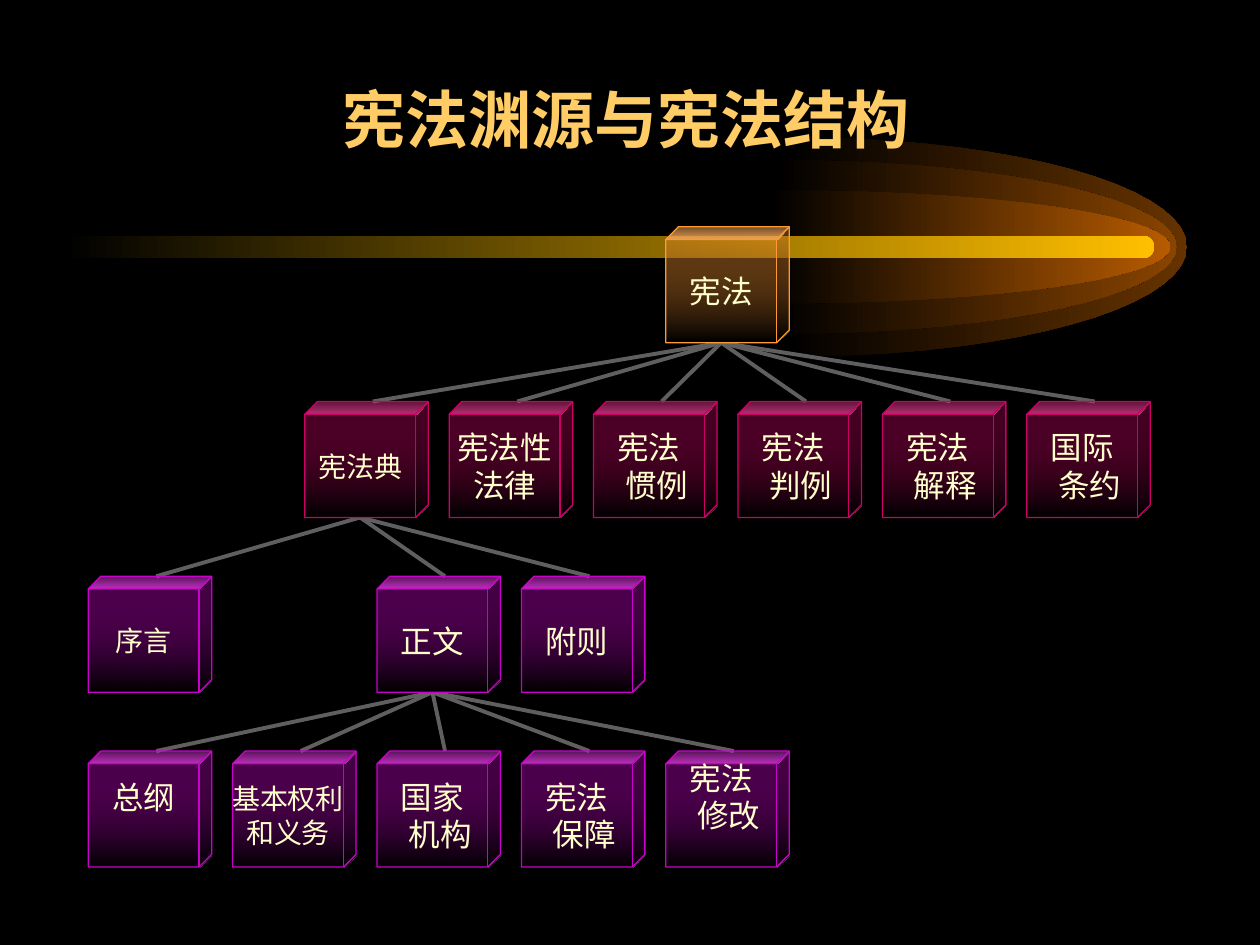
import math
from dataclasses import dataclass

from lxml import etree
from pptx import Presentation
from pptx.dml.color import RGBColor
from pptx.enum.shapes import MSO_CONNECTOR, MSO_SHAPE
from pptx.enum.text import MSO_ANCHOR, MSO_AUTO_SIZE, PP_ALIGN
from pptx.oxml.ns import qn
from pptx.util import Inches, Pt

STRAIGHT = MSO_CONNECTOR.STRAIGHT
CUBE = MSO_SHAPE.CUBE
ROUNDED = MSO_SHAPE.ROUNDED_RECTANGLE
CENTER = PP_ALIGN.CENTER
MIDDLE = MSO_ANCHOR.MIDDLE
BOTTOM = MSO_ANCHOR.BOTTOM
NO_AUTOFIT = MSO_AUTO_SIZE.NONE

BLACK = RGBColor(0x00, 0x00, 0x00)
GOLD = RGBColor(0xFF, 0xCC, 0x66)
COMET = RGBColor(0xFF, 0xBF, 0x00)
CREAM = RGBColor(0xFF, 0xFF, 0xCC)
GRAY = RGBColor(0x5F, 0x5F, 0x5F)
ORANGE = RGBColor(0xFF, 0x99, 0x33)
CRIMSON = RGBColor(0xCC, 0x00, 0x66)
PURPLE = RGBColor(0xCC, 0x00, 0xCC)

LEFT, TOP = 0.7, 1.8
COLUMN_STEP, ROW_STEP = 1.146, 1.387
CUBE_WIDTH, CUBE_HEIGHT, DEPTH = 0.98, 0.92, 0.1
SECOND_LINE_INDENT = 0.12
LINE_HEIGHT = 0.3
COMET_AXIS = 1.96


@dataclass(frozen=True)
class Halo:
    center: float
    radius: float
    color: RGBColor


@dataclass(frozen=True)
class Node:
    column: float
    row: int
    lines: tuple[str, ...]
    color: RGBColor
    size: int = 18
    indented: bool = True
    raised: bool = False
    children: tuple["Node", ...] = ()

    @property
    def left(self) -> float:
        return LEFT + self.column * COLUMN_STEP

    @property
    def top(self) -> float:
        return TOP + self.row * ROW_STEP


HALOS = (
    Halo(6.29, 0.87, RGBColor(0x66, 0x33, 0x00)),
    Halo(6.21, 0.69, RGBColor(0x89, 0x44, 0x00)),
    Halo(6.16, 0.45, RGBColor(0xB7, 0x5B, 0x00)),
)

MAIN_TEXT = Node(2, 2, ("正文",), PURPLE, children=(
    Node(0, 3, ("总纲",), PURPLE, raised=True),
    Node(1, 3, ("基本权利", "和义务"), PURPLE, size=16, indented=False),
    Node(2, 3, ("国家", "机构"), PURPLE),
    Node(3, 3, ("宪法", "保障"), PURPLE),
    Node(4, 3, ("宪法", "修改"), PURPLE, raised=True),
))
CODE = Node(1.5, 1, ("宪法典",), CRIMSON, size=16, children=(
    Node(0, 2, ("序言",), PURPLE, size=16),
    MAIN_TEXT,
    Node(3, 2, ("附则",), PURPLE),
))
CONSTITUTION = Node(4, 0, ("宪法",), ORANGE, children=(
    CODE,
    Node(2.5, 1, ("宪法性", "法律"), CRIMSON, indented=False),
    Node(3.5, 1, ("宪法", "惯例"), CRIMSON),
    Node(4.5, 1, ("宪法", "判例"), CRIMSON),
    Node(5.5, 1, ("宪法", "解释"), CRIMSON),
    Node(6.5, 1, ("国际", "条约"), CRIMSON),
))


def fill_gradient(shape, start: RGBColor, end: RGBColor, angle: int) -> None:
    shape.shadow.inherit = False
    shape.fill.gradient()
    shape.fill.gradient_angle = angle
    for stop, color in zip(shape.fill.gradient_stops, (start, end)):
        stop.color.rgb = color


def draw_halo(slide, halo: Halo) -> None:
    angles = [math.radians(degree) for degree in range(-90, 91, 5)]
    points = [
        (Inches(halo.center + 3.13 * math.cos(angle)),
         Inches(COMET_AXIS + halo.radius * math.sin(angle)))
        for angle in angles
    ]
    points.append((Inches(halo.center - 0.05), points[-1][1]))
    points.append((Inches(halo.center), Inches(COMET_AXIS)))
    builder = slide.shapes.build_freeform(*points[0])
    builder.add_line_segments(points[1:], close=True)
    glow = builder.convert_to_shape()
    fill_gradient(glow, BLACK, halo.color, 0)
    glow.line.fill.background()


def draw_comet(slide) -> None:
    for halo in HALOS:
        draw_halo(slide, halo)
    tail = slide.shapes.add_shape(
        ROUNDED, Inches(0.5), Inches(COMET_AXIS - 0.09), Inches(8.66), Inches(0.18))
    tail.adjustments[0] = 0.5
    fill_gradient(tail, BLACK, COMET, 0)
    tail.line.fill.background()


def draw_title(slide) -> None:
    title = slide.shapes.title
    title.left, title.top = Inches(0.77), Inches(0.04)
    title.width, title.height = Inches(8.39), Inches(1.25)
    frame = title.text_frame
    frame.auto_size = NO_AUTOFIT
    frame.vertical_anchor = BOTTOM
    paragraph = frame.paragraphs[0]
    paragraph.alignment = CENTER
    run = paragraph.add_run()
    run.text = "宪法渊源与宪法结构"
    run.font.name = "Times New Roman"
    run.font.size = Pt(36)
    run.font.bold = True
    run.font.color.rgb = GOLD
    slide.shapes.element.append(title.element)


def draw_branches(slide, parent: Node) -> None:
    for child in parent.children:
        branch = slide.shapes.add_connector(
            STRAIGHT,
            Inches(child.left + (CUBE_WIDTH + DEPTH) / 2), Inches(child.top),
            Inches(parent.left + (CUBE_WIDTH - DEPTH) / 2),
            Inches(parent.top + CUBE_HEIGHT))
        branch.line.color.rgb = GRAY
        branch.line.width = Pt(2.25)
        etree.SubElement(branch.element.spPr, qn("a:effectLst"))
        draw_branches(slide, child)


def draw_cubes(slide, node: Node) -> None:
    cube = slide.shapes.add_shape(
        CUBE, Inches(node.left), Inches(node.top),
        Inches(CUBE_WIDTH), Inches(CUBE_HEIGHT))
    cube.adjustments[0] = DEPTH / CUBE_HEIGHT
    fill_gradient(cube, node.color, BLACK, 270)
    first_color = cube.element.spPr.find(".//" + qn("a:srgbClr"))
    etree.SubElement(first_color, qn("a:alpha")).set("val", "40000")
    cube.line.color.rgb = node.color
    cube.line.width = Pt(0.75)

    frame = cube.text_frame
    frame.word_wrap = False
    frame.vertical_anchor = MIDDLE
    frame.margin_left = frame.margin_right = frame.margin_top = 0
    frame.margin_bottom = Inches(LINE_HEIGHT if node.raised else 0)
    for index, line in enumerate(node.lines):
        paragraph = frame.add_paragraph() if index else frame.paragraphs[0]
        paragraph.alignment = CENTER
        if index and node.indented:
            properties = paragraph._p.get_or_add_pPr()
            properties.set("marL", str(Inches(SECOND_LINE_INDENT)))
        run = paragraph.add_run()
        run.text = line
        run.font.name = "DejaVu Sans"
        run.font.size = Pt(node.size)
        run.font.color.rgb = CREAM
    for child in node.children:
        draw_cubes(slide, child)


def main() -> None:
    deck = Presentation()
    deck.slide_width, deck.slide_height = Inches(10), Inches(7.5)
    slide = deck.slides.add_slide(deck.slide_layouts[5])
    slide.background.fill.solid()
    slide.background.fill.fore_color.rgb = BLACK
    draw_comet(slide)
    draw_title(slide)
    draw_branches(slide, CONSTITUTION)
    draw_cubes(slide, CONSTITUTION)
    deck.save("out.pptx")


if __name__ == "__main__":
    main()
